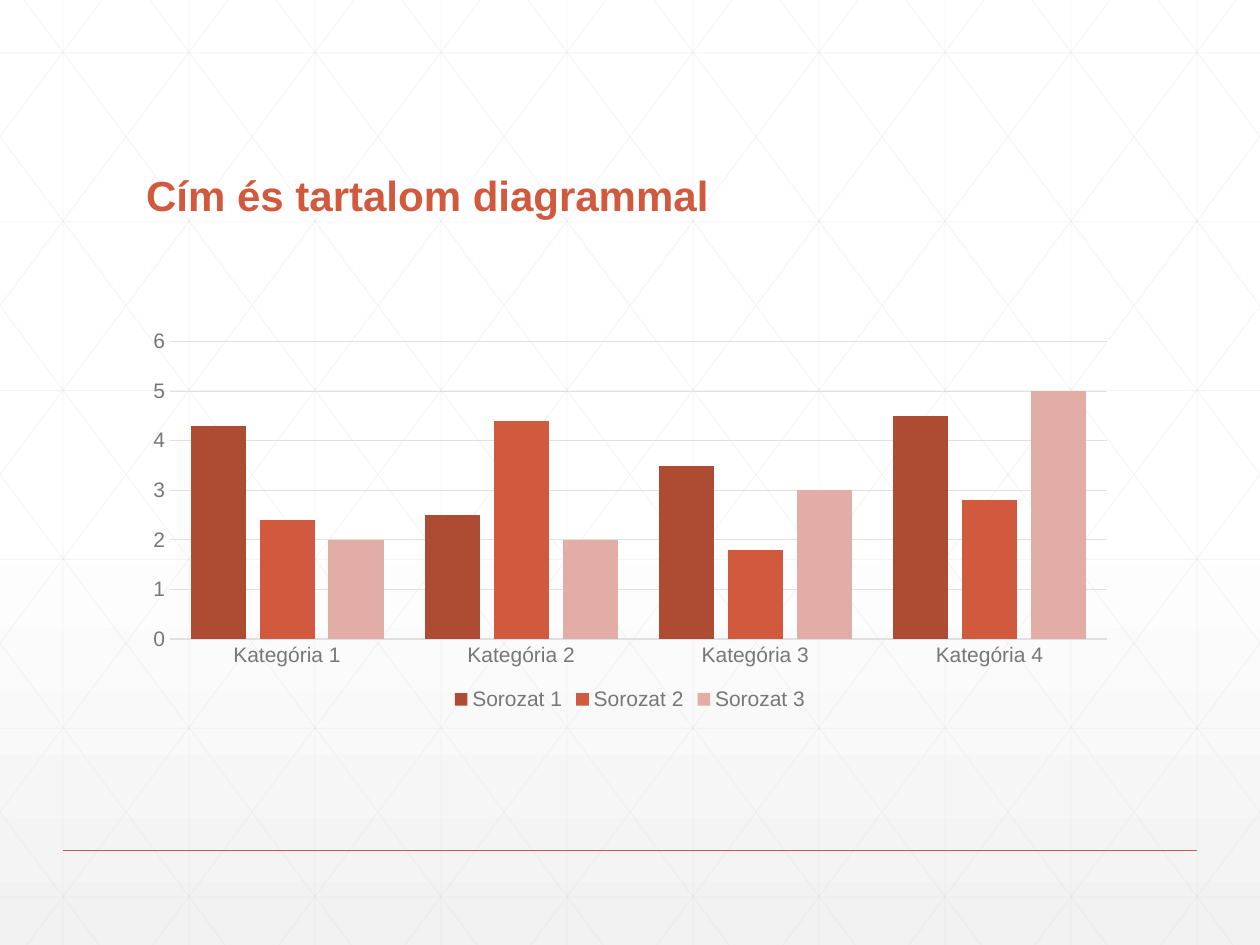
from lxml.etree import SubElement
from pptx import Presentation
from pptx.chart.data import CategoryChartData
from pptx.dml.color import RGBColor
from pptx.enum.chart import XL_CHART_TYPE, XL_LEGEND_POSITION, XL_TICK_MARK
from pptx.enum.shapes import MSO_CONNECTOR
from pptx.enum.text import MSO_ANCHOR, MSO_AUTO_SIZE, PP_ALIGN
from pptx.oxml.ns import qn
from pptx.util import Inches, Pt

WHITE = RGBColor(0xFF, 0xFF, 0xFF)
PALE_GRAY = RGBColor(0xF2, 0xF2, 0xF2)
MESH_GRAY = RGBColor(0xD9, 0xD9, 0xD9)
AXIS_GRAY = RGBColor(0xDF, 0xE0, 0xDF)
LABEL_GRAY = RGBColor(0x76, 0x78, 0x76)
DARK_GRAY = RGBColor(0x2D, 0x2E, 0x2D)
RUST = RGBColor(0xAD, 0x4B, 0x33)
ORANGE = RGBColor(0xD1, 0x5A, 0x3E)
PINK = RGBColor(0xE2, 0xAD, 0xA6)

WIDTH, HEIGHT = 10, 7.5
LEFT, CONTENT_WIDTH = 1.06, 7.88

CATEGORIES = ["Kategória 1", "Kategória 2", "Kategória 3", "Kategória 4"]
SERIES = [
    ("Sorozat 1", (4.3, 2.5, 3.5, 4.5), RUST),
    ("Sorozat 2", (2.4, 4.4, 1.8, 2.8), ORANGE),
    ("Sorozat 3", (2, 2, 3, 5), PINK),
]


class SlideBuilder:
    font = "Arial"

    def __init__(self, prs):
        self.s = prs.slides.add_slide(prs.slide_layouts[5])

    def style_font(self, font, size, color, bold=False):
        font.name, font.size, font.bold = self.font, Pt(size), bold
        font.color.rgb = color

    def background(self):
        fill = self.s.background.fill
        fill.gradient()
        fill.gradient_angle = 270
        stops = zip(fill.gradient_stops, ((0.53, WHITE), (1, PALE_GRAY)))
        for stop, (position, color) in stops:
            stop.position = position
            stop.color.rgb = color

    def line(self, x1, y1, x2, y2, color, width, opacity=100):
        line = self.s.shapes.add_connector(
            MSO_CONNECTOR.STRAIGHT, Inches(x1), Inches(y1), Inches(x2), Inches(y2))
        line.line.color.rgb = color
        line.line.width = Pt(width)
        props = line._element.spPr
        SubElement(props, qn("a:effectLst"))
        if opacity < 100:
            rgb = props.find(".//" + qn("a:srgbClr"))
            SubElement(rgb, qn("a:alpha"), val=str(opacity * 1000))

    def mesh(self):
        """Draw the faint grid with its diagonals, clipped to the slide."""
        pen = (MESH_GRAY, 0.5, 25)
        for i in range(10):
            self.line(i + 0.5, 0, i + 0.5, HEIGHT, *pen)
        for i in range(6):
            y = 0.42 + 1.34 * i
            self.line(0, y, WIDTH, y, *pen)
        slope = 1.34
        for i in range(-5, 10):
            start = i + 0.19
            x1, x2 = max(start, 0), min(start + HEIGHT / slope, WIDTH)
            y1, y2 = (x1 - start) * slope, (x2 - start) * slope
            self.line(x1, y1, x2, y2, *pen)
            self.line(WIDTH - x1, y1, WIDTH - x2, y2, *pen)

    def title(self, text):
        title = self.s.shapes.title
        title.left, title.top = Inches(LEFT), Inches(0.55)
        title.width, title.height = Inches(CONTENT_WIDTH), Inches(1.25)
        tf = title.text_frame
        tf.text = text
        tf.word_wrap = True
        tf.auto_size = MSO_AUTO_SIZE.NONE
        tf.vertical_anchor = MSO_ANCHOR.BOTTOM
        p = tf.paragraphs[0]
        p.alignment = PP_ALIGN.LEFT
        p.line_spacing = 0.9
        self.style_font(p.runs[0].font, 24, ORANGE, bold=True)
        self.s.shapes._spTree.append(title._element)  # in front of the mesh

    def column_chart(self, categories, series):
        data = CategoryChartData()
        data.categories = categories
        for name, values, _ in series:
            data.add_series(name, values)
        chart = self.s.shapes.add_chart(
            XL_CHART_TYPE.COLUMN_CLUSTERED, Inches(LEFT), Inches(2.56),
            Inches(CONTENT_WIDTH), Inches(3.12), data).chart
        self.style_font(chart.font, 10, DARK_GRAY)
        chart.has_title = False
        chart.has_legend = True
        chart.legend.position = XL_LEGEND_POSITION.BOTTOM
        chart.legend.include_in_layout = False
        self.style_font(chart.legend.font, 12, LABEL_GRAY)

        for axis in (chart.category_axis, chart.value_axis):
            axis.major_tick_mark = axis.minor_tick_mark = XL_TICK_MARK.NONE
            self.style_font(axis.tick_labels.font, 12, LABEL_GRAY)
        chart.value_axis.format.line.fill.background()
        grid = chart.value_axis.major_gridlines
        for line in (chart.category_axis.format.line, grid.format.line):
            line.color.rgb = AXIS_GRAY
            line.width = Pt(0.75)

        plot = chart.plots[0]
        plot.gap_width, plot.overlap = 75, -25
        plot.vary_by_categories = False
        for bars, (_, _, color) in zip(plot.series, series):
            bars.format.fill.solid()
            bars.format.fill.fore_color.rgb = color


def main():
    prs = Presentation()
    prs.slide_width, prs.slide_height = Inches(WIDTH), Inches(HEIGHT)
    slide = SlideBuilder(prs)
    slide.background()
    slide.mesh()
    slide.line(0.5, 6.75, 9.5, 6.75, ORANGE, 1)
    slide.title("Cím és tartalom diagrammal")
    slide.column_chart(CATEGORIES, SERIES)
    prs.save("out.pptx")


if __name__ == "__main__":
    main()
